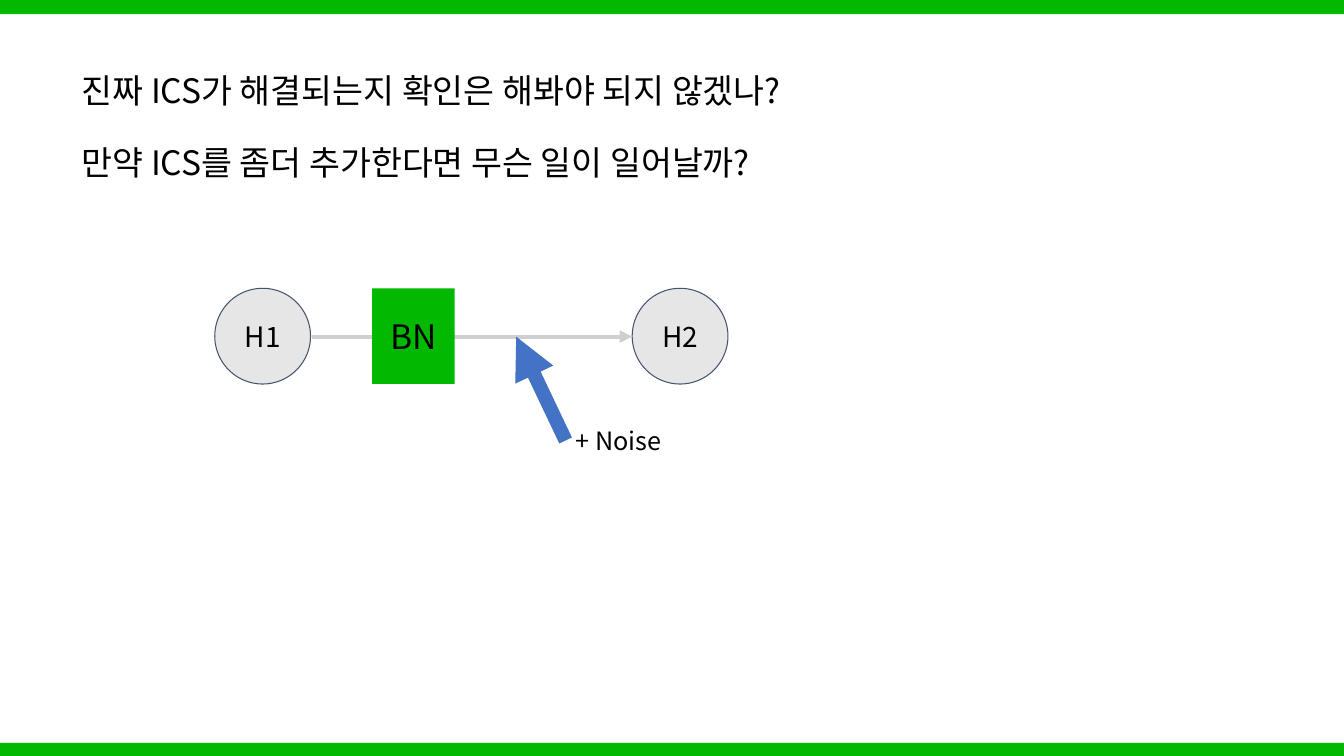
from dataclasses import dataclass

from lxml.etree import SubElement
from pptx import Presentation
from pptx.dml.color import RGBColor
from pptx.enum.shapes import MSO_CONNECTOR, MSO_SHAPE
from pptx.enum.text import MSO_ANCHOR, MSO_AUTO_SIZE, PP_ALIGN
from pptx.oxml.ns import qn
from pptx.util import Inches, Pt


@dataclass(frozen=True)
class Theme:
    font: str = "Noto Sans CJK KR"
    green: RGBColor = RGBColor(0x00, 0xB9, 0x00)
    node: RGBColor = RGBColor(0xE7, 0xE6, 0xE6)
    outline: RGBColor = RGBColor(0x44, 0x54, 0x6A)
    flow: RGBColor = RGBColor(0xD0, 0xCE, 0xCE)
    noise: RGBColor = RGBColor(0x44, 0x72, 0xC4)
    text: RGBColor = RGBColor(0x00, 0x00, 0x00)
    large: Pt = Pt(24)
    medium: Pt = Pt(20)
    small: Pt = Pt(18)


theme = Theme()


def write(sp, lines, size, frame, paragraph):
    tf = sp.text_frame
    for name, value in frame.items():
        setattr(tf, name, value)
    for i, line in enumerate(lines):
        p = tf.paragraphs[0] if i == 0 else tf.add_paragraph()
        if i:
            p.space_before = Pt(23)
        for name, value in paragraph.items():
            setattr(p, name, value)
        r = p.add_run()
        r.text = line
        for name, value in {"name": theme.font, "size": size}.items():
            setattr(r.font, name, value)
        r.font.color.rgb = theme.text
        SubElement(r.font._element, qn("a:ea"), typeface=theme.font)


def add_block(kind, x, y, w, h, fill, outline=None):
    sp = s.shapes.add_shape(kind, Inches(x), Inches(y), Inches(w), Inches(h))
    sp.shadow.inherit = False
    sp.fill.solid()
    sp.fill.fore_color.rgb = fill
    if outline is None:
        sp.line.fill.background()
    else:
        sp.line.color.rgb = outline
        sp.line.width = Pt(0.75)
    return sp


prs = Presentation()
prs.slide_width, prs.slide_height = Inches(13.33), Inches(7.5)
s = prs.slides.add_slide(prs.slide_layouts[6])

inset = {f"margin_{side}": Inches(0.13) for side in ("left", "top", "right", "bottom")}
middle = {"vertical_anchor": MSO_ANCHOR.MIDDLE}
centred = {"alignment": PP_ALIGN.CENTER}

for y in (0, 7.37):
    add_block(MSO_SHAPE.RECTANGLE, 0, y, 13.33, 0.14, theme.green)

questions = s.shapes.add_textbox(Inches(0.68), Inches(0.56), Inches(8.29), Inches(2.36))
write(
    questions,
    ["진짜 ICS가 해결되는지 확인은 해봐야 되지 않겠나?",
     "만약 ICS를 좀더 추가한다면 무슨 일이 일어날까?"],
    theme.large,
    {"word_wrap": True, **inset},
    {},
)

for label, x in (("H1", 2.13), ("H2", 6.27)):
    node = add_block(MSO_SHAPE.OVAL, x, 2.86, 0.95, 0.95, theme.node, theme.outline)
    write(node, [label], theme.medium, {**inset, **middle}, centred)

arrows = []
for x1, y1, x2, y2, color, width in (
    (3.09, 3.34, 6.27, 3.34, theme.flow, 3),
    (5.61, 4.37, 5.12, 3.34, theme.noise, 10),
):
    arrow = s.shapes.add_connector(
        MSO_CONNECTOR.STRAIGHT, Inches(x1), Inches(y1), Inches(x2), Inches(y2)
    )
    arrow.line.color.rgb = color
    arrow.line.width = Pt(width)
    SubElement(arrow.line._get_or_add_ln(), qn("a:tailEnd"), type="triangle")
    SubElement(arrow._element.spPr, qn("a:effectLst"))
    arrows.append(arrow)

bn = add_block(MSO_SHAPE.RECTANGLE, 3.69, 2.86, 0.82, 0.95, theme.green)
write(bn, ["BN"], theme.large, middle, centred)
arrows[1]._element.addprevious(bn._element)

noise = s.shapes.add_textbox(Inches(5.61), Inches(4.17), Inches(1.27), Inches(0.4))
write(
    noise,
    ["+ Noise"],
    theme.small,
    {"word_wrap": True, "auto_size": MSO_AUTO_SIZE.SHAPE_TO_FIT_TEXT},
    {},
)

prs.save("out.pptx")
